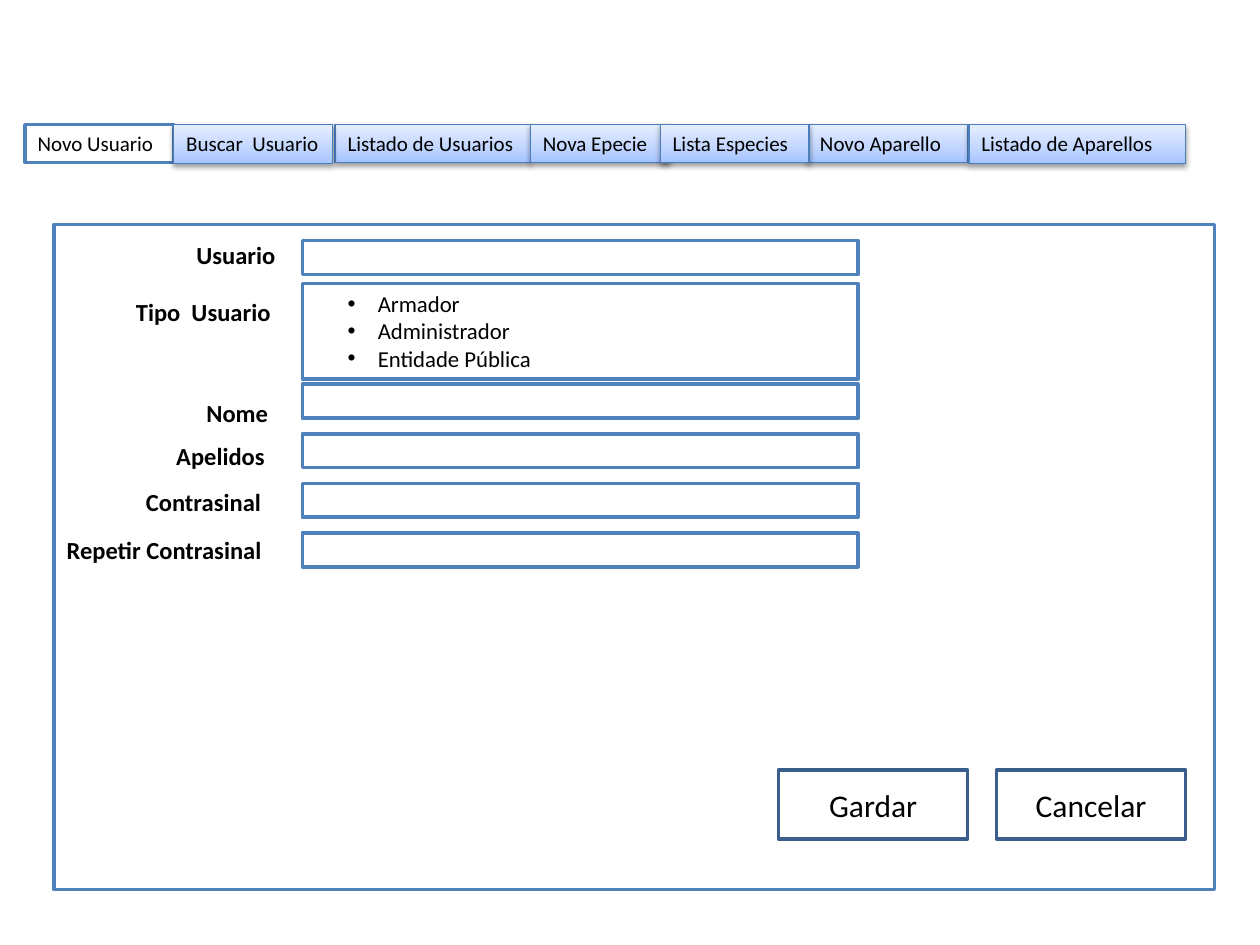
from lxml import etree
from pptx import Presentation
from pptx.dml.color import RGBColor
from pptx.enum.shapes import MSO_SHAPE
from pptx.enum.text import MSO_ANCHOR, MSO_AUTO_SIZE, PP_ALIGN
from pptx.oxml.ns import qn
from pptx.util import Inches, Pt

RECTANGLE = MSO_SHAPE.RECTANGLE
TOP, MIDDLE = MSO_ANCHOR.TOP, MSO_ANCHOR.MIDDLE
LEFT, CENTER = PP_ALIGN.LEFT, PP_ALIGN.CENTER
FIT_SHAPE = MSO_AUTO_SIZE.SHAPE_TO_FIT_TEXT

FONT = "Calibri"
WHITE, BLACK = "FFFFFF", "000000"
BLUE, DARK_BLUE, TAB_BLUE = "4F81BD", "3A5F8C", "4B7EBC"
TAB_GRADIENT = [(0, "A4C4FF"), (35, "BFD4FF"), (100, "E6EEFF")]

# Offsets from the top left corner of the tab bar: left, width, height, text
ACTIVE_TAB = (0, 1.18, 0.3, "Novo Usuario")
TABS = [
    (2.46, 1.55, 0.3, "Listado de Usuarios"),
    (6.21, 1.27, 0.3, "Novo Aparello"),
    (7.49, 1.72, 0.31, "Listado de Aparellos"),
    (1.18, 1.26, 0.31, "Buscar  Usuario"),
    (4.01, 1.1, 0.3, "Nova Epecie"),
    (5.04, 1.18, 0.3, "Lista Especies"),
]

# Offsets from the top left corner of the form: left, top, width, text
LABELS = [
    (1.03, 0.08, 2.52, "Usuario"),
    (0.55, 0.53, 2.52, "Tipo  Usuario"),
    (1.11, 1.33, 0.87, "Nome"),
    (0.87, 1.67, 0.94, "Apelidos"),
    (0.63, 2.04, 1.26, "Contrasinal"),
    (0, 2.42, 1.89, "Repetir Contrasinal"),
]
USER_TYPES = ["Armador", "Administrador", "Entidade Pública"]


def color(value):
    return RGBColor.from_string(value)


def add_box(page, left, top, width, height, line, line_width=2):
    box = page.shapes.add_shape(
        RECTANGLE, Inches(left), Inches(top), Inches(width), Inches(height))
    box.shadow.inherit = False
    box.fill.solid()
    box.fill.fore_color.rgb = color(WHITE)
    box.line.color.rgb = color(line)
    box.line.width = Pt(line_width)
    return box


def write(box, text, size, bold=False, align=LEFT, anchor=TOP):
    frame = box.text_frame
    frame.word_wrap = True
    frame.vertical_anchor = anchor
    if anchor == TOP:
        frame.auto_size = FIT_SHAPE
        frame.margin_right = Inches(0.05)
    frame.text = text
    for para in frame.paragraphs:
        para.alignment = align
        for span in para.runs:
            span.font.name = FONT
            span.font.size = Pt(size)
            span.font.bold = bold
            span.font.color.rgb = color(BLACK)


def add_color_element(parent, value):
    return etree.SubElement(parent, qn("a:srgbClr"), val=value)


def style_inactive_tab(box):
    properties = box.fill._xPr
    # Three-stop gradient, running upwards
    box.fill.gradient()
    box.fill.gradient_angle = 90
    stops = properties.find(qn("a:gradFill")).find(qn("a:gsLst"))
    for stop in list(stops):
        stops.remove(stop)
    for position, value in TAB_GRADIENT:
        stop = etree.SubElement(stops, qn("a:gs"), pos=str(position * 1000))
        add_color_element(stop, value)
    # Soft shadow below
    shadow = etree.SubElement(
        properties.find(qn("a:effectLst")), qn("a:outerShdw"),
        blurRad="40000", dist="20000", dir="5400000", rotWithShape="0")
    etree.SubElement(add_color_element(shadow, BLACK), qn("a:alpha"), val="38000")


def add_tab_bar(page, left, top):
    offset, width, height, text = ACTIVE_TAB
    write(add_box(page, left + offset, top, width, height, BLUE), text, 12)
    for offset, width, height, text in TABS:
        tab = add_box(page, left + offset, top, width, height, TAB_BLUE, 0.75)
        style_inactive_tab(tab)
        write(tab, text, 12)


def add_bullets(box):
    for para in box.text_frame.paragraphs:
        para.level = 1
        properties = para._p.get_or_add_pPr()
        properties.set("marL", str(Inches(0.5)))
        properties.set("indent", str(Inches(-0.24)))
        etree.SubElement(properties, qn("a:buFont"), typeface="Arial")
        etree.SubElement(properties, qn("a:buChar"), char="•")


def add_form(page, left, top, width, height):
    add_box(page, left, top, width, height, BLUE)

    # Labels
    for x, y, label_width, text in LABELS:
        label = add_box(page, left + x, top + y, label_width, 0.34, WHITE)
        if x == 0:  # this label lies on the border of the form
            label.fill.background()
            label.line.fill.background()
        write(label, text, 14, bold=True)

    # Entry fields: user name, then four evenly spaced ones
    field_left, field_width = left + 1.97, 4.41
    for y in [0.13] + [1.27 + 0.393 * row for row in range(4)]:
        add_box(page, field_left, top + y, field_width, 0.27, BLUE)

    # List of user types
    types = add_box(page, field_left, top + 0.47, field_width, 0.76, BLUE)
    write(types, "\n".join(USER_TYPES), 13)
    add_bullets(types)

    # Buttons
    for column, text in enumerate(["Gardar", "Cancelar"]):
        button = add_box(page, left + 5.75 + 1.73 * column, top + 4.33,
                         1.5, 0.55, DARK_BLUE)
        write(button, text, 18, align=CENTER, anchor=MIDDLE)


def main():
    deck = Presentation()
    deck.slide_width, deck.slide_height = Inches(10), Inches(7.5)
    page = deck.slides.add_slide(deck.slide_layouts[6])
    add_form(page, 0.43, 1.78, 9.21, 5.28)
    add_tab_bar(page, 0.2, 0.99)
    deck.save("out.pptx")


if __name__ == "__main__":
    main()
